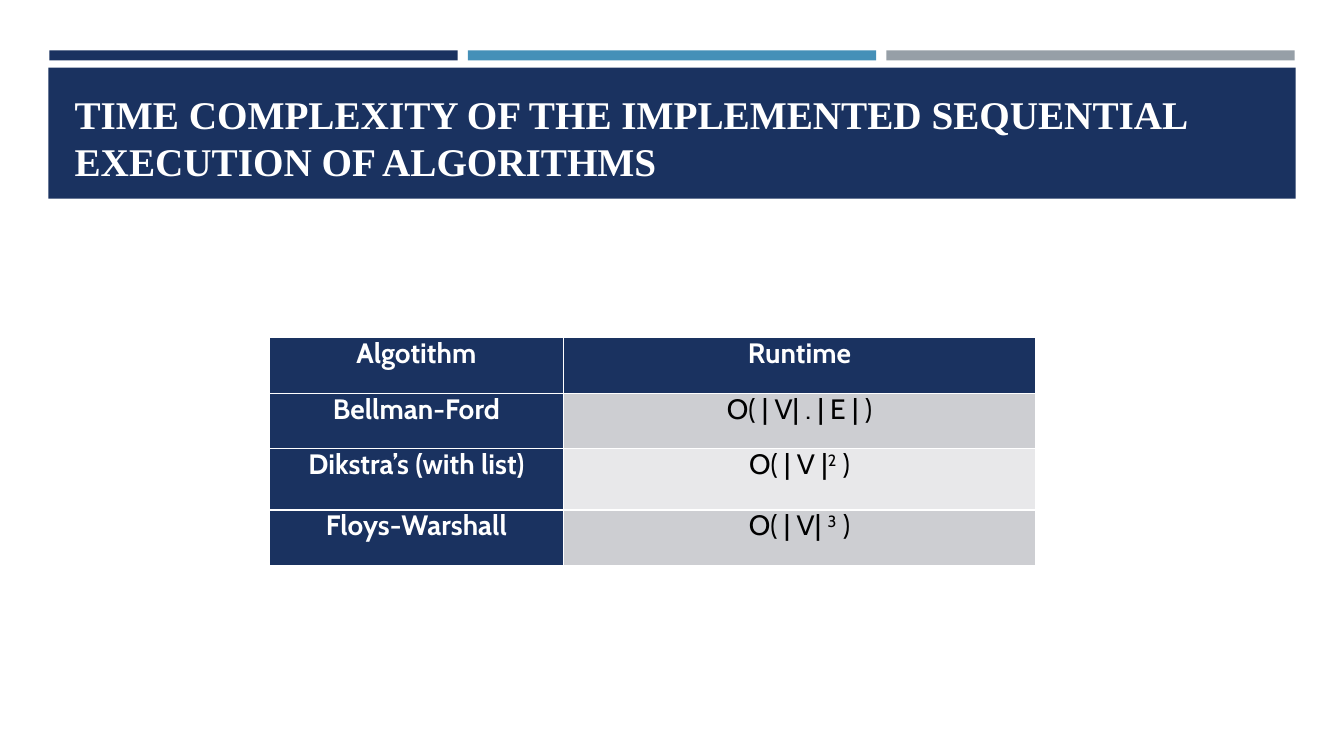
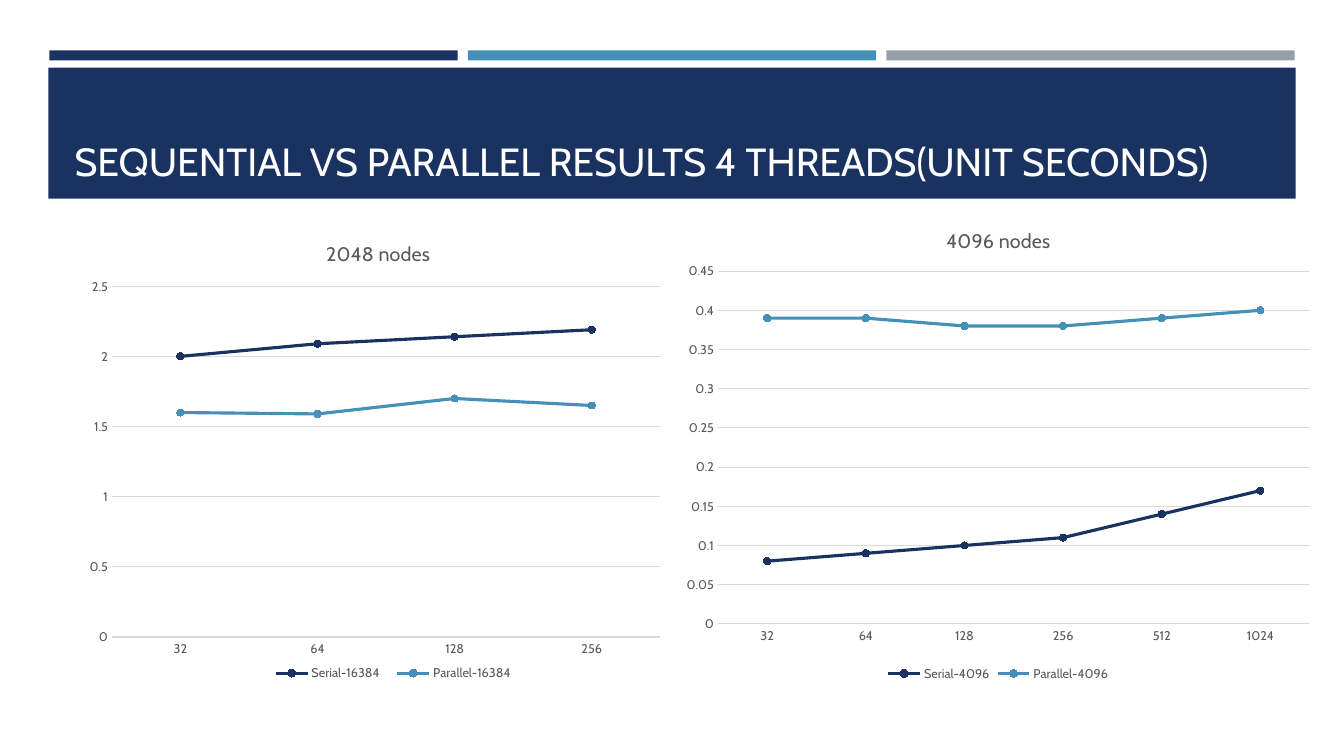
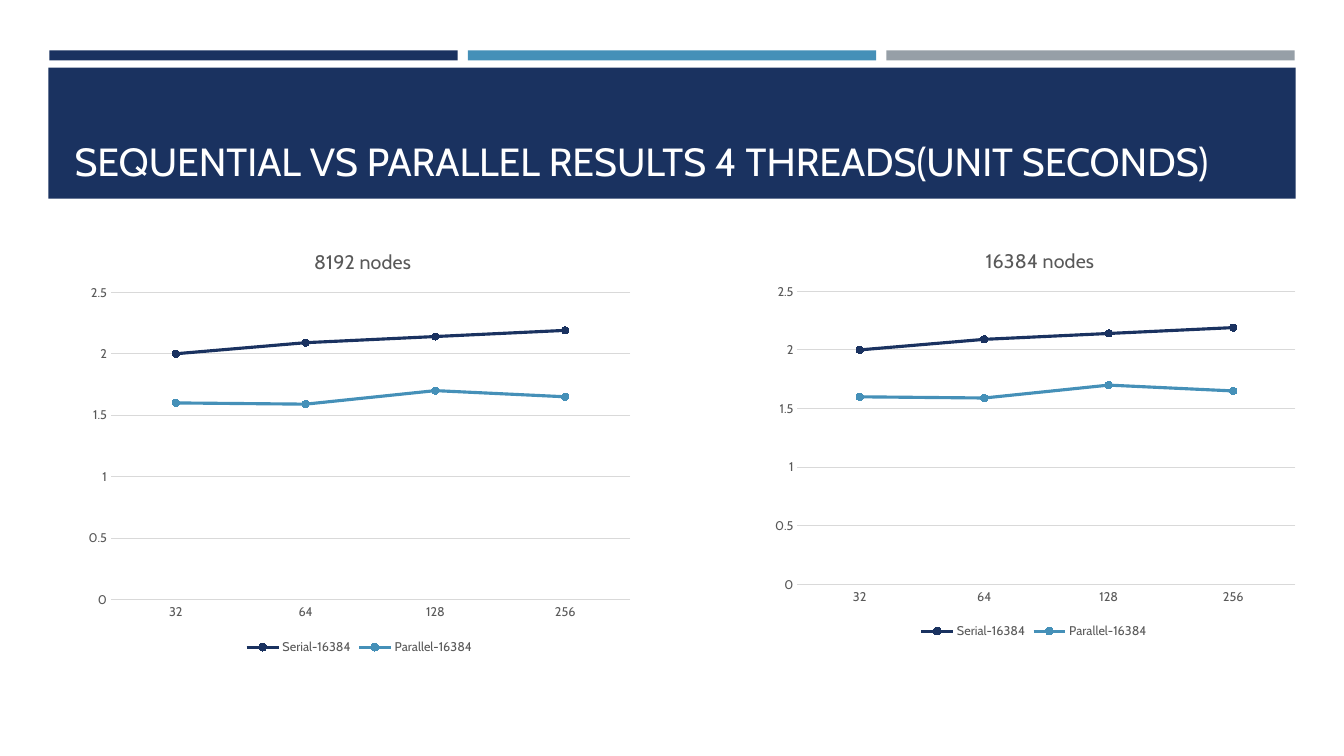
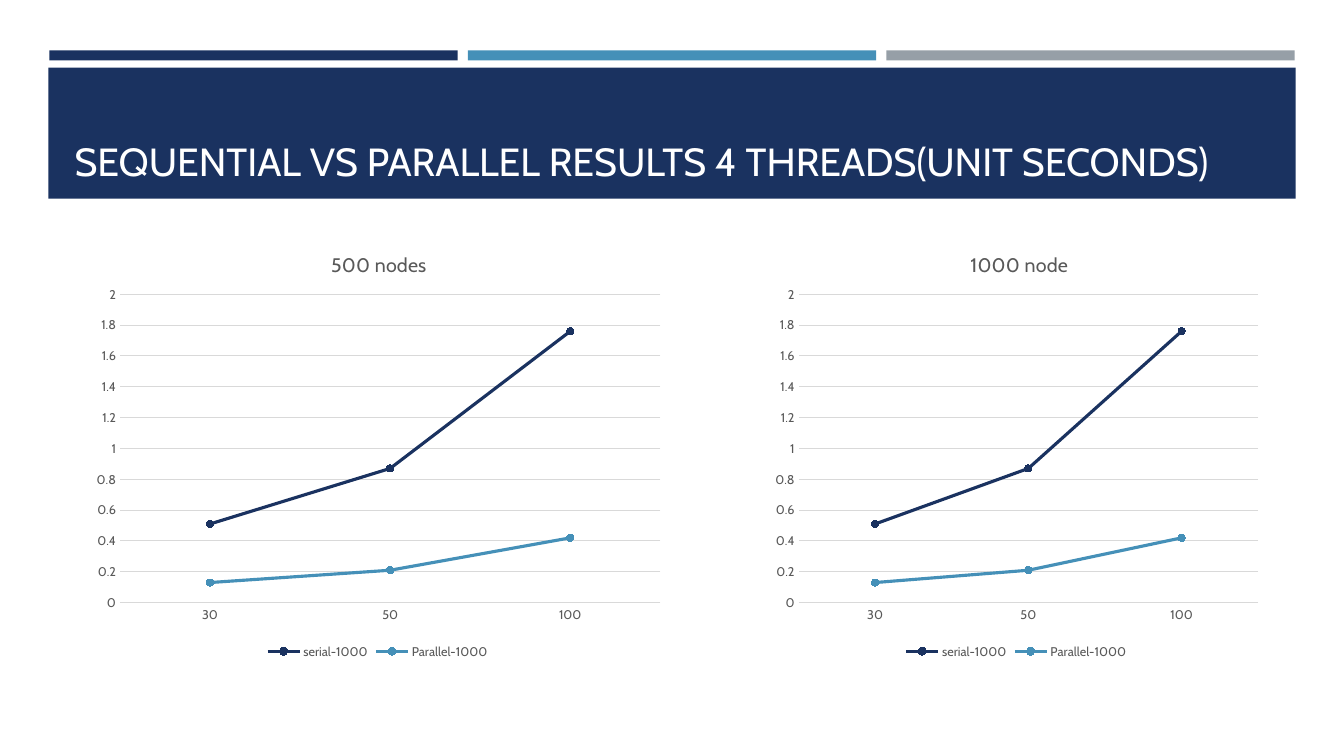
from pptx import Presentation
from pptx.chart.data import CategoryChartData
from pptx.dml.color import RGBColor
from pptx.enum.chart import XL_CHART_TYPE, XL_LEGEND_POSITION, XL_MARKER_STYLE, XL_TICK_MARK
from pptx.enum.shapes import MSO_SHAPE, PP_PLACEHOLDER
from pptx.enum.text import MSO_ANCHOR, MSO_AUTO_SIZE, PP_ALIGN
from pptx.oxml import parse_xml
from pptx.oxml.ns import nsdecls
from pptx.util import Inches, Pt

NAVY, BLUE, GRAY = "1A3260", "4590B8", "969FA7"
WHITE, BLACK, TEXT_GRAY, GRID_GRAY = "FFFFFF", "000000", "595959", "D9D9D9"
ROW_FILLS = ["CDCED2", "E8E8EA"]

TITLE_LOOK = {"name": "Cabin", "size": Pt(28), "bold": False, "color": WHITE}
HEAD_LOOK = {"name": "Cabin", "size": Pt(20), "bold": True, "color": WHITE}
CELL_LOOK = {**HEAD_LOOK, "bold": False, "color": BLACK}
CHART_LOOK = {"name": "Cabin", "size": Pt(10), "color": BLACK}
LABEL_LOOK = {"name": "Cabin", "size": Pt(9), "bold": False, "color": TEXT_GRAY}
CHART_TITLE_LOOK = {**LABEL_LOOK, "size": Pt(14)}
TITLE_FRAME = {"vertical_anchor": MSO_ANCHOR.BOTTOM, "word_wrap": True,
               "auto_size": MSO_AUTO_SIZE.NONE}
CELL_MARGINS = {"margin_left": Inches(0.07), "margin_right": Inches(0.07),
                "margin_top": 0, "margin_bottom": 0}
CELL_PARA = {"alignment": PP_ALIGN.CENTER, "line_spacing": 0.95, "space_after": Pt(6)}

BANDS = [(0.49 + 4.15 * i, 0.5, 4.05, 0.1, color) for i, color in enumerate([NAVY, BLUE, GRAY])]
BANDS.append((0.48, 0.67, 12.37, 1.3, NAVY))
TITLE_BOX = (0.64, 0.77, 12.06, 1.11)

COMPLEXITY_TITLE = "TIME COMPLEXITY OF THE IMPLEMENTED SEQUENTIAL EXECUTION OF ALGORITHMS"
RESULTS_TITLE = "SEQUENTIAL VS PARALLEL RESULTS 4 THREADS(UNIT SECONDS)"

TABLE_BOX = (2.67, 3.35, 7.6, 2.26)
COLUMN_WIDTHS = [2.92, 4.68]
ROW_HEIGHTS = [0.55, 0.55, 0.61, 0.55]
RUNTIMES = [
    ("Algotithm", "Runtime"),
    ("Bellman-Ford", "O( | V| . | E | )"),
    ("Dikstra’s (with list)", "O( | V |^2^ )"),
    ("Floys-Warshall", "O( | V| ^3^ )"),
]

RUN_16384 = {
    "categories": ["32", "64", "128", "256"], "maximum": 2.5, "unit": 0.5,
    "series": [("Serial-16384", [2, 2.09, 2.14, 2.19]),
               ("Parallel-16384", [1.6, 1.59, 1.7, 1.65])],
}
RUN_4096 = {
    "categories": ["32", "64", "128", "256", "512", "1024"], "maximum": 0.45, "unit": 0.05,
    "series": [("Serial-4096", [0.08, 0.09, 0.1, 0.11, 0.14, 0.17]),
               ("Parallel-4096", [0.39, 0.39, 0.38, 0.38, 0.39, 0.4])],
}
RUN_1000 = {
    "categories": ["30", "50", "100"], "maximum": 2, "unit": 0.2,
    "series": [("serial-1000", [0.51, 0.87, 1.76]),
               ("Parallel-1000", [0.13, 0.21, 0.42])],
}
CHART_PAGES = [
    [{"title": "2048 nodes", "run": RUN_16384, "box": (0.77, 2.15, 5.9, 4.77),
      "title_at": (3.2, 2.35), "plot": (1.11, 2.84, 5.44, 3.48),
      "legend": (2.6, 6.55, 2.6, 0.26)},
     {"title": "4096 nodes", "run": RUN_4096, "box": (6.67, 2.03, 6.46, 4.77),
      "title_at": (9.35, 2.22), "plot": (7.12, 2.69, 5.87, 3.5)}],
    [{"title": "8192 nodes", "run": RUN_16384, "box": (0.77, 2.23, 5.59, 4.31),
      "title_at": (3.08, 2.43), "plot": (1.1, 2.9, 5.15, 3.05)},
     {"title": "16384 nodes", "run": RUN_16384, "box": (7.56, 2.23, 5.39, 4.15),
      "title_at": (9.74, 2.42), "plot": (7.91, 2.89, 4.94, 2.91)}],
    [{"title": "500 nodes", "run": RUN_1000, "box": (0.83, 2.28, 5.83, 4.3),
      "title_at": (3.25, 2.46), "plot": (1.19, 2.92, 5.36, 3.06)},
     {"title": "1000 node", "run": RUN_1000, "box": (7.58, 2.28, 5, 4.3),
      "title_at": (9.59, 2.46), "plot": (7.92, 2.92, 4.56, 3.06)}],
]


def rgb(color):
    return RGBColor.from_string(color)


def inches(box):
    return [Inches(length) for length in box]


def set_all(target, values):
    for name, value in values.items():
        if name == "color":
            target.color.rgb = rgb(value)
        else:
            setattr(target, name, value)


def paint(fill, color):
    fill.solid()
    fill.fore_color.rgb = rgb(color)


def draw_line(line, color, width):
    set_all(line, {"color": color, "width": Pt(width)})


def prepare_layout(layout, page):
    for holder in list(layout.placeholders):
        if holder.placeholder_format.type != PP_PLACEHOLDER.TITLE:
            holder.element.getparent().remove(holder.element)
    for *box, color in BANDS:
        band = page.shapes.add_shape(MSO_SHAPE.RECTANGLE, *inches(box))
        band.shadow.inherit = False
        paint(band.fill, color)
        band.line.fill.background()
        layout.shapes.element.insert(2, band.element)


def write_title(page, text, font_changes):
    title = page.shapes.title
    title.left, title.top, title.width, title.height = inches(TITLE_BOX)
    set_all(title.text_frame, TITLE_FRAME)
    para = title.text_frame.paragraphs[0]
    para.alignment = PP_ALIGN.LEFT
    span = para.add_run()
    span.text = text
    set_all(span.font, {**TITLE_LOOK, **font_changes})


def write_cell(cell, text, look, color):
    paint(cell.fill, color)
    set_all(cell, CELL_MARGINS)
    para = cell.text_frame.paragraphs[0]
    set_all(para, CELL_PARA)
    for index, part in enumerate(text.split("^")):
        span = para.add_run()
        span.text = part
        set_all(span.font, look)
        if index % 2:
            span._r.get_or_add_rPr().set("baseline", "30000")


def add_runtimes(page):
    table = page.shapes.add_table(len(RUNTIMES), len(COLUMN_WIDTHS), *inches(TABLE_BOX)).table
    table.horz_banding = False
    for column, width in zip(table.columns, COLUMN_WIDTHS):
        column.width = Inches(width)
    for r, texts in enumerate(RUNTIMES):
        table.rows[r].height = Inches(ROW_HEIGHTS[r])
        for c, text in enumerate(texts):
            heading = r == 0 or c == 0
            write_cell(table.cell(r, c), text, HEAD_LOOK if heading else CELL_LOOK,
                       NAVY if heading else ROW_FILLS[(r - 1) % 2])


def place(part, index, box, chart_box, target=""):
    left, top, width, height = chart_box
    parts = {"x": (box[0] - left) / width, "y": (box[1] - top) / height}
    if len(box) == 4:
        parts.update(w=box[2] / width, h=box[3] / height)
    sizes = "".join(f'<c:{name} val="{value:.4f}"/>' for name, value in parts.items())
    for old in part.xpath("c:layout"):
        part.remove(old)
    part.insert(index, parse_xml(
        f'<c:layout {nsdecls("c")}><c:manualLayout>{target}'
        f'<c:xMode val="edge"/><c:yMode val="edge"/>{sizes}</c:manualLayout></c:layout>'))


def add_results(page, item):
    run = item["run"]
    data = CategoryChartData()
    data.categories = run["categories"]
    for name, values in run["series"]:
        data.add_series(name, values)
    chart = page.shapes.add_chart(XL_CHART_TYPE.LINE_MARKERS, *inches(item["box"]), data).chart
    set_all(chart.font, CHART_LOOK)

    chart.has_title = True
    para = chart.chart_title.text_frame.paragraphs[0]
    span = para.add_run()
    span.text = item["title"]
    set_all(span.font, CHART_TITLE_LOOK)
    chart.has_legend = True
    set_all(chart.legend, {"position": XL_LEGEND_POSITION.BOTTOM, "include_in_layout": False})
    set_all(chart.legend.font, LABEL_LOOK)

    for axis in (chart.category_axis, chart.value_axis):
        set_all(axis, {"major_tick_mark": XL_TICK_MARK.NONE, "minor_tick_mark": XL_TICK_MARK.NONE})
        set_all(axis.tick_labels.font, LABEL_LOOK)
    draw_line(chart.category_axis.format.line, GRID_GRAY, 0.75)
    set_all(chart.value_axis, {"minimum_scale": 0, "maximum_scale": run["maximum"],
                               "major_unit": run["unit"], "has_major_gridlines": True})
    chart.value_axis.format.line.fill.background()
    draw_line(chart.value_axis.major_gridlines.format.line, GRID_GRAY, 0.75)

    plot = chart.plots[0]
    plot.vary_by_categories = False
    for series, color in zip(plot.series, [NAVY, BLUE]):
        series.smooth = False
        draw_line(series.format.line, color, 2.25)
        set_all(series.marker, {"style": XL_MARKER_STYLE.CIRCLE, "size": 5})
        paint(series.marker.format.fill, color)
        draw_line(series.marker.format.line, color, 0.75)

    title, area, legend = (chart.element.xpath(f"c:chart/c:{name}")[0]
                           for name in ("title", "plotArea", "legend"))
    place(title, 1, item["title_at"], item["box"])
    place(area, 0, item["plot"], item["box"], '<c:layoutTarget val="inner"/>')
    if "legend" in item:
        place(legend, 1, item["legend"], item["box"])


def main():
    deck = Presentation()
    deck.slide_width, deck.slide_height = Inches(13.33), Inches(7.5)
    layout = deck.slide_layouts[5]
    page = deck.slides.add_slide(layout)
    prepare_layout(layout, page)
    write_title(page, COMPLEXITY_TITLE, {"name": "Times New Roman", "bold": True})
    add_runtimes(page)
    for items in CHART_PAGES:
        page = deck.slides.add_slide(layout)
        write_title(page, RESULTS_TITLE, {})
        for item in items:
            add_results(page, item)
    deck.save("out.pptx")


if __name__ == "__main__":
    main()
